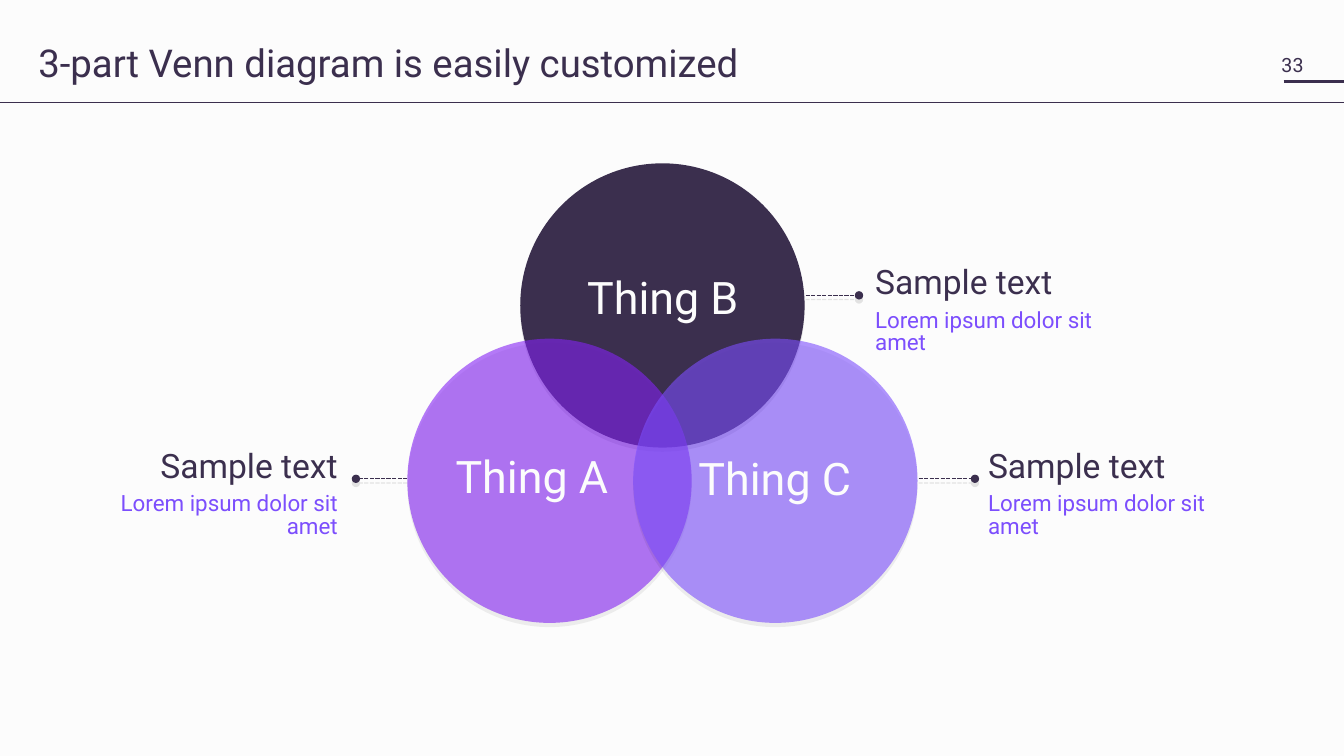
from lxml.etree import SubElement
from pptx import Presentation
from pptx.dml.color import RGBColor
from pptx.enum.dml import MSO_LINE
from pptx.enum.shapes import MSO_CONNECTOR, MSO_SHAPE
from pptx.enum.text import MSO_ANCHOR, PP_ALIGN
from pptx.oxml.ns import qn
from pptx.util import Inches, Pt

DARK, PURPLE, VIOLET, PALE = "3B2F4E", "8422F4", "7C4EFD", "FCFCFC"
LEFT, MID, RIGHT = PP_ALIGN.LEFT, PP_ALIGN.CENTER, PP_ALIGN.RIGHT
SIZE = 2.82

rgb = RGBColor.from_string


def finish(shape, shadow=True):
    """Give the shape a soft drop shadow, or no shadow at all."""
    props = shape._element.spPr
    effect = SubElement(props, qn("a:effectLst"))
    if shadow:
        drop = SubElement(effect, qn("a:outerShdw"), blurRad="0", dist="38100",
                          dir="5400000", algn="t", rotWithShape="0")
        black = SubElement(drop, qn("a:srgbClr"), val="000000")
        SubElement(black, qn("a:alpha"), val="10000")


def add_text(box, lines, inset=0.05, align=LEFT, space=1.0):
    left, top, width, height = map(Inches, box)
    frame = slide.shapes.add_textbox(left, top, width, height).text_frame
    frame.word_wrap = True
    frame.margin_left = frame.margin_right = Inches(inset)
    frame.margin_top = frame.margin_bottom = Inches(inset)
    frame.text = "\n".join(text for text, size, color in lines)
    for i, (para, (text, size, color)) in enumerate(zip(frame.paragraphs, lines)):
        para.alignment = align
        para.line_spacing = space
        if i:
            para.space_before = Pt(6)
        font = para.runs[0].font
        font.name, font.size = "Roboto", Pt(size)
        font.color.rgb = rgb(color)
    return frame


deck = Presentation()
deck.slide_width, deck.slide_height = Inches(13.33), Inches(7.5)
slide = deck.slides.add_slide(deck.slide_layouts[6])
slide.background.fill.solid()
slide.background.fill.fore_color.rgb = rgb(PALE)

# Header
for start, y, weight in [(12.73, 0.81, 2), (0, 1.02, 0.5)]:
    rule = slide.shapes.add_connector(
        MSO_CONNECTOR.STRAIGHT, Inches(start), Inches(y), Inches(13.33), Inches(y))
    rule.line.color.rgb = rgb(DARK)
    rule.line.width = Pt(weight)
    finish(rule, shadow=False)

number = add_text((12.64, 0.46, 0.36, 0.37), [("33", 14, DARK)], inset=0.07)
number.word_wrap = False
number.vertical_anchor = MSO_ANCHOR.MIDDLE
add_text((0.33, 0.45, 11.43, 0.54),
         [("3-part Venn diagram is easily customized", 27.4, DARK)], space=0.75)

# Circles
for left, top, color, alpha in [(5.16, 1.62, DARK, 100),
                                (4.04, 3.36, PURPLE, 60),
                                (6.28, 3.36, VIOLET, 60)]:
    disc = slide.shapes.add_shape(MSO_SHAPE.OVAL, Inches(left), Inches(top),
                                  Inches(SIZE), Inches(SIZE))
    disc.fill.solid()
    disc.fill.fore_color.rgb = rgb(color)
    disc.line.fill.background()
    if alpha < 100:
        tint = disc._element.spPr.find(qn("a:solidFill"))[0]
        SubElement(tint, qn("a:alpha"), val=str(alpha * 1000))
    finish(disc)

for name, left, top in [("Thing A", 4.25, 4.44), ("Thing B", 5.55, 2.67),
                        ("Thing C", 6.66, 4.46)]:
    add_text((left, top, 2.05, 0.63), [(name, 32, PALE)], align=MID, space=0.95)

# Callouts: text position, then the leader from circle to dot
for left, top, align, start, end in [(8.68, 2.65, LEFT, 7.99, 8.52),
                                     (9.8, 4.47, LEFT, 9.11, 9.67),
                                     (0.65, 4.47, RIGHT, 4.04, 3.53)]:
    add_text((left, top, 2.7, 0.68),
             [("Sample text", 24, DARK), ("Lorem ipsum dolor sit amet", 16, VIOLET)],
             inset=0, align=align, space=0.85)
    y = Inches(top + 0.28)
    leader = slide.shapes.add_connector(
        MSO_CONNECTOR.STRAIGHT, Inches(start), y, Inches(end), y)
    leader.line.color.rgb = rgb(DARK)
    leader.line.width = Pt(1)
    leader.line.dash_style = MSO_LINE.SQUARE_DOT
    SubElement(leader._element.spPr.find(qn("a:ln")), qn("a:tailEnd"), type="oval")
    finish(leader)

deck.save("out.pptx")
